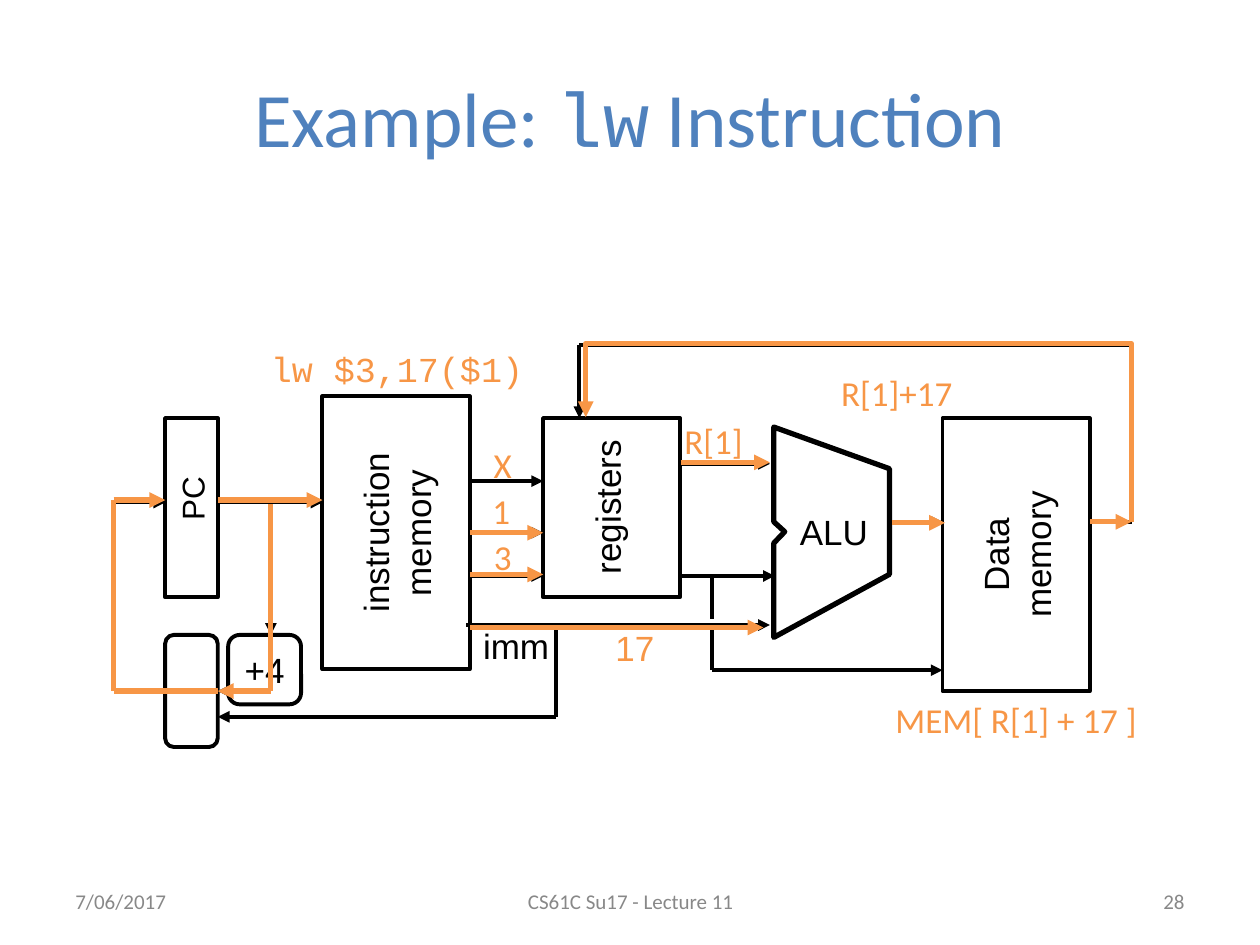
from itertools import pairwise

from pptx import Presentation
from pptx.dml.color import RGBColor
from pptx.enum.shapes import MSO_CONNECTOR, MSO_SHAPE as Shape
from pptx.enum.text import MSO_ANCHOR as Anchor, PP_ALIGN as Align
from pptx.oxml.ns import qn
from pptx.util import Cm, Pt
from lxml.etree import SubElement

THEME = {
    "ink": "000000", "signal": "F79646", "title": "4F81BD", "muted": "888888", "paper": "FFFFFF",
    "sans": "Arial", "body": "Calibri", "code": "Courier New",
    "title_size": 44, "label_size": 20, "small_size": 18, "footer_size": 12,
    "thin": 2.25, "thick": 3,
}

BOXES = {
    "pc": dict(at=(3.33, 8.43, 1.06, 3.61), filled=False),
    "instruction": dict(at=(6.5, 7.99, 2.97, 5.5), text="instruction\nmemory", upright=True),
    "plus four": dict(at=(4.6, 12.8, 1.47, 1.4), text="+4", kind=Shape.ROUNDED_RECTANGLE),
    "registers": dict(at=(10.95, 8.43, 2.76, 3.61)),
    "data": dict(at=(19, 8.43, 2.97, 5.5), text="Data\nmemory", upright=True),
    "next pc": dict(at=(3.33, 12.8, 1.06, 2.26), kind=Shape.ROUNDED_RECTANGLE),
}

ALU = [(15.6, 8.61), (17.93, 9.45), (17.93, 11.58), (15.6, 12.85),
       (15.6, 10.95), (15.82, 10.72), (15.6, 10.52)]
WRITE_BACK = [(22.81, 10.52), (22.81, 6.93), (11.81, 6.93), (11.81, 8.41)]

INK_WIRES = [
    dict(points=[(17.93, 10.52), (19, 10.52)]),
    dict(points=[(4.39, 10.13), (6.5, 10.13)]),
    dict(points=[(9.47, 9.7), (10.95, 9.7)]),
    dict(points=[(9.47, 10.74), (10.95, 10.74)], start=("instruction", 2)),
    dict(points=[(9.47, 11.61), (10.95, 11.61)]),
    dict(points=[(13.72, 11.61), (15.62, 11.61)]),
    dict(points=[(9.4, 12.6), (15.52, 12.6)]),
    dict(points=[(13.72, 9.35), (15.52, 9.35)]),
    dict(points=[(14.35, 11.61), (14.35, 12.47)], arrow=False),
    dict(points=[(14.35, 12.67), (14.35, 13.51), (19, 13.51)]),
    dict(points=[(21.97, 10.52), (22.81, 10.52), (22.81, 6.96), (11.68, 6.96), (11.68, 8.43)]),
    dict(points=[(5.46, 10.13), (5.46, 12.8)]),
    dict(points=[(5.03, 13.93), (4.39, 13.93)], end=("next pc", 3)),
    dict(points=[(11.2, 12.6), (11.2, 14.45), (4.39, 14.45)]),
    dict(points=[(3.33, 13.93), (2.29, 13.93), (2.29, 10.13), (3.33, 10.13)], start=("next pc", 1)),
]

SIGNAL_WIRES = [
    dict(points=[(4.39, 10.08), (6.5, 10.08)]),
    dict(points=[(17.98, 10.54), (19.05, 10.54)]),
    dict(points=[(9.47, 10.74), (10.95, 10.74)], start=("instruction", 2)),
    dict(points=[(9.47, 12.65), (15.39, 12.65)]),
    dict(points=[(13.72, 9.32), (15.52, 9.32)]),
    dict(points=[(9.47, 11.58), (10.95, 11.58)]),
    dict(points=[(21.97, 10.52), (22.81, 10.52)]),
    dict(points=[(5.46, 10.16), (5.46, 13.93), (4.39, 13.93)], end=("next pc", 3)),
    dict(points=[(4.39, 13.93), (2.29, 13.93), (2.29, 10.08), (3.33, 10.08)], start=("next pc", 3)),
]

INK_LABELS = [
    dict(text="ALU", at=(15.49, 10.16, 2.64, 1.32), anchor=Anchor.TOP),
    dict(text="registers", at=(11.69, 8.43, 1.09, 3.58), upright=True),
    dict(text="imm", at=(9.35, 12.47, 2.11, 1.09)),
    dict(text="PC", at=(3.36, 9.36, 1.02, 1.4), upright=True, size="small_size"),
]

SIGNAL_LABELS = [
    dict(text="3", at=(9.68, 10.67, 0.91, 1.09)),
    dict(text="1", at=(9.65, 9.75, 0.91, 1.09)),
    dict(text="X", at=(9.7, 8.81, 0.81, 1.12)),
    dict(text="R[1]+17", at=(16.1, 7.26, 3.96, 1.32)),
    dict(text="17", at=(12.14, 12.4, 1.32, 1.32), font="sans"),
    dict(text="R[1]", at=(13.23, 8.33, 2.31, 1.09)),
    dict(text="MEM[ R[1] + 17 ]", at=(17.73, 13.84, 5.51, 1.32)),
    dict(text="lw $3,17($1)", at=(5.11, 6.86, 5.79, 1.12), font="code"),
]

TITLE = dict(text="Example: |lw| Instruction", at=(1.27, 0.76, 22.86, 3.18))
FOOTERS = [
    dict(text="7/06/2017", at=(1.27, 17.65, 5.92, 1.02), align=Align.LEFT),
    dict(text="CS61C Su17 - Lecture 11", at=(8.69, 17.65, 8.05, 1.02)),
    dict(text="28", at=(18.21, 17.65, 5.92, 1.02), align=Align.RIGHT),
]


def rgb(name):
    return RGBColor.from_string(THEME[name])


def write_text(shape, text, size="label_size", font="sans", color="ink",
               align=Align.CENTER, anchor=Anchor.MIDDLE):
    frame = shape.text_frame
    frame.word_wrap = align != Align.CENTER
    frame.vertical_anchor = anchor
    for number, line in enumerate(text.split("\n")):
        para = frame.add_paragraph() if number else frame.paragraphs[0]
        para.alignment = align
        for index, piece in enumerate(line.split("|")):
            span = para.add_run()
            span.text = piece
            span.font.size = Pt(THEME[size])
            span.font.name = THEME["code" if index % 2 else font]
            span.font.color.rgb = rgb(color)


def place(at, upright):
    left, top, width, height = at
    if upright:
        left, top = left + (width - height) / 2, top + (height - width) / 2
        width, height = height, width
    return [Cm(length) for length in (left, top, width, height)]


def add_label(page, text, at, upright=False, **style):
    label = page.shapes.add_textbox(*place(at, upright))
    label.rotation = 270 if upright else 0
    write_text(label, text, **style)


def style_line(shape, color, width, arrow=False):
    shape.line.color.rgb = rgb(color)
    shape.line.width = Pt(THEME[width])
    if arrow:
        SubElement(shape.line._get_or_add_ln(), qn("a:tailEnd"), type="triangle")


def add_box(page, at, text="", kind=Shape.RECTANGLE, upright=False, filled=True):
    box = page.shapes.add_shape(kind, *place(at, upright))
    box.rotation = 270 if upright else 0
    box.shadow.inherit = False
    if filled:
        box.fill.solid()
        box.fill.fore_color.rgb = rgb("paper")
    else:
        box.fill.background()
    style_line(box, "ink", "thin")
    if text:
        write_text(box, text)
    return box


def add_outline(page, points, color, closed, arrow=False):
    corners = [(Cm(x), Cm(y)) for x, y in points]
    builder = page.shapes.build_freeform(*corners[0])
    builder.add_line_segments(corners[1:], close=closed)
    outline = builder.convert_to_shape()
    outline.shadow.inherit = False
    outline.fill.background()
    style_line(outline, color, "thick", arrow)


def add_wire(page, boxes, points, color, width, start=None, end=None, arrow=True):
    steps = list(pairwise(points))
    for number, (origin, target) in enumerate(steps):
        first, last = number == 0, number == len(steps) - 1
        ends = [Cm(length) for length in (*origin, *target)]
        wire = page.shapes.add_connector(MSO_CONNECTOR.STRAIGHT, *ends)
        if start and first:
            wire.begin_connect(boxes[start[0]], start[1])
        if end and last:
            wire.end_connect(boxes[end[0]], end[1])
        wire.begin_x, wire.begin_y, wire.end_x, wire.end_y = ends
        style_line(wire, color, width, arrow and last)
        SubElement(wire._element.spPr, qn("a:effectLst"))


def main():
    deck = Presentation()
    deck.slide_width, deck.slide_height = Cm(25.4), Cm(19.05)
    page = deck.slides.add_slide(deck.slide_layouts[6])

    add_outline(page, ALU, "ink", closed=True)
    boxes = {name: add_box(page, **box) for name, box in BOXES.items()}
    for wire in INK_WIRES:
        add_wire(page, boxes, color="ink", width="thin", **wire)
    for label in INK_LABELS:
        add_label(page, **label)

    for wire in SIGNAL_WIRES:
        add_wire(page, boxes, color="signal", width="thick", **wire)
    add_outline(page, WRITE_BACK, "signal", closed=False, arrow=True)
    for label in SIGNAL_LABELS:
        add_label(page, **{"font": "body", "color": "signal", **label})

    add_label(page, size="title_size", font="body", color="title", **TITLE)
    for footer in FOOTERS:
        add_label(page, size="footer_size", font="body", color="muted", **footer)
    deck.save("out.pptx")


if __name__ == "__main__":
    main()
